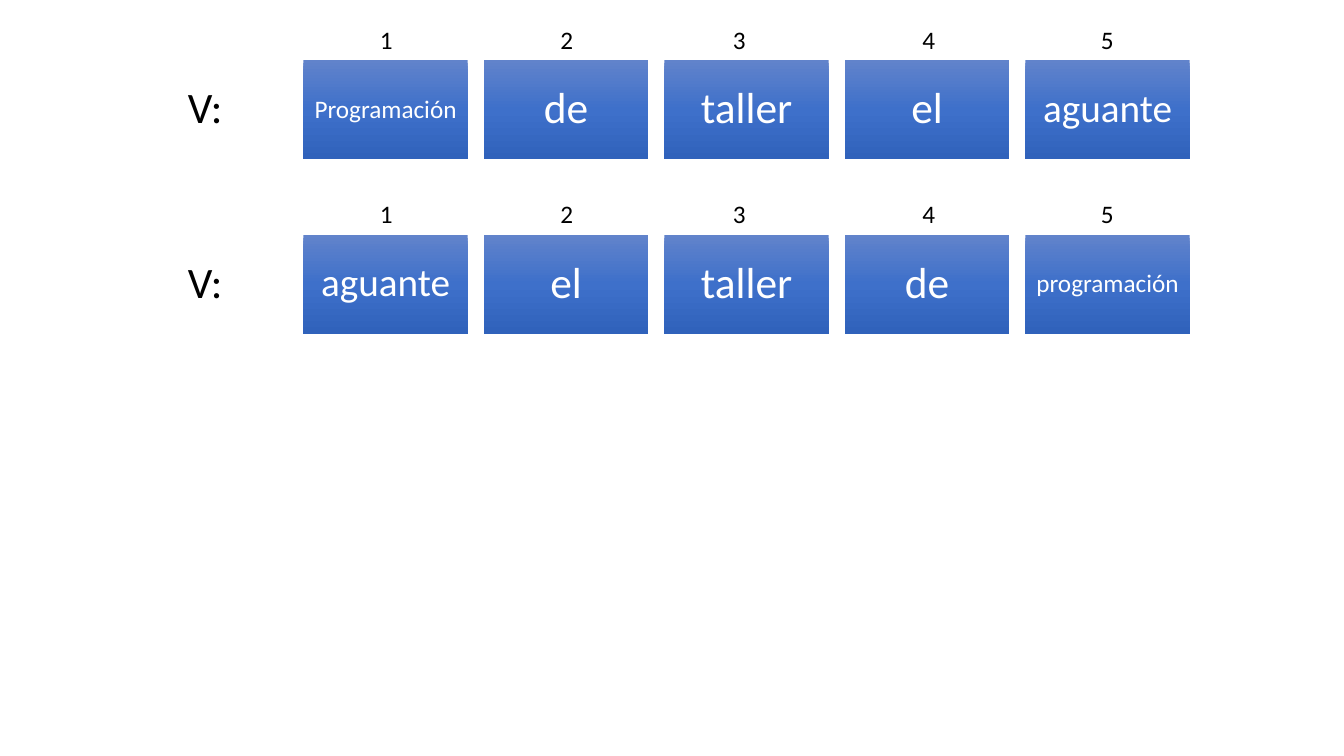
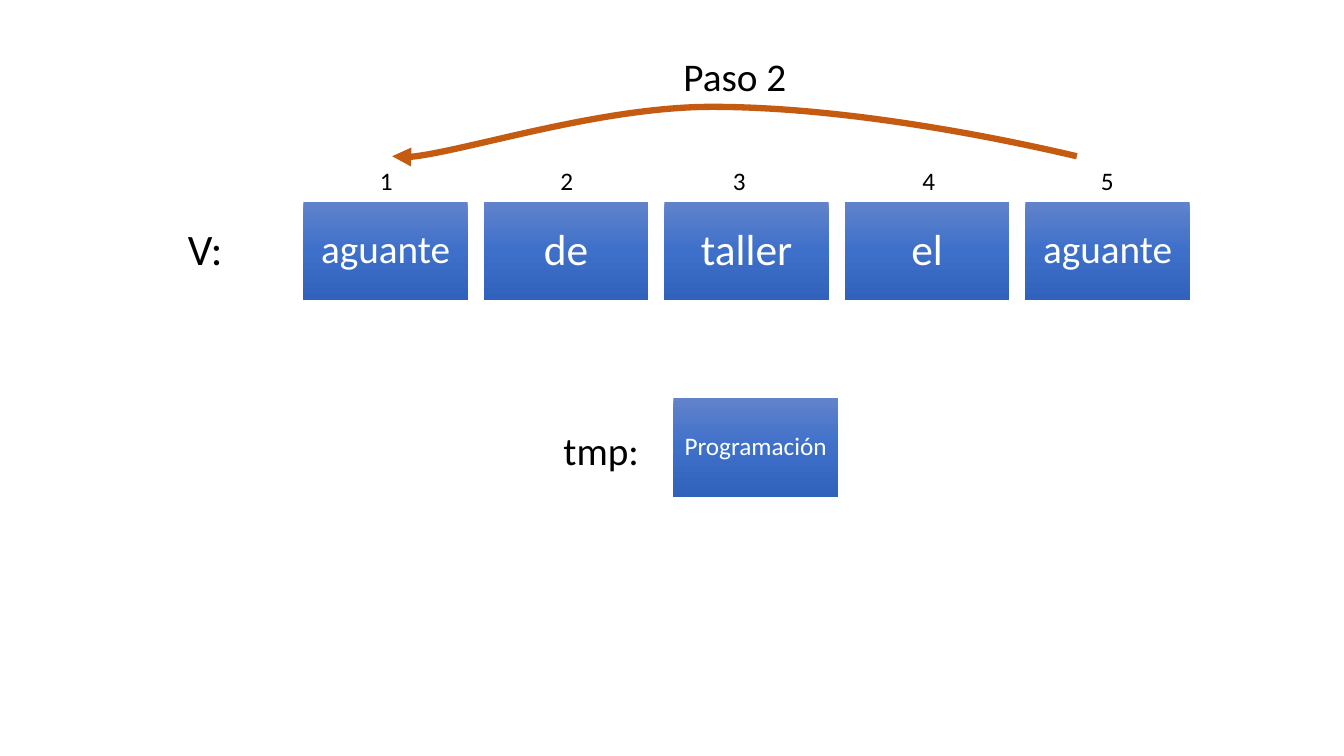
from copy import deepcopy

from lxml import etree
from pptx import Presentation
from pptx.dml.color import RGBColor
from pptx.enum.shapes import MSO_SHAPE
from pptx.enum.text import MSO_ANCHOR, PP_ALIGN
from pptx.oxml.ns import qn
from pptx.util import Pt

RECT = MSO_SHAPE.RECTANGLE
MIDDLE = MSO_ANCHOR.MIDDLE
CENTER = PP_ALIGN.CENTER

PX = 9144
FONT = "Calibri"
COLORS = {
    "top": "6183CB",
    "mid": "3E70CA",
    "low": "3062BB",
    "white": "FFFFFF",
    "black": "000000",
    "arrow": "C55A11",
}
WIDE, HIGH = 163, 98
FIRST, STEP = 301, 179
INDEX = [367, 546, 717, 905, 1082]
PADS = {31: 13, 28: 12, 18: 7}


def label(slide, text, x, y, w, h, size):
    box = slide.shapes.add_textbox(x * PX, y * PX, w * PX, h * PX)
    frame = box.text_frame
    frame.word_wrap = True
    frame.text = text
    font = frame.paragraphs[0].font
    font.name, font.size = FONT, Pt(size)
    font.color.rgb = RGBColor.from_string(COLORS["black"])


def cell(slide, text, x, y, filled=True):
    box = slide.shapes.add_shape(RECT, x * PX, y * PX, WIDE * PX, HIGH * PX)
    box.shadow.inherit = False
    box.line.fill.background()
    if filled:
        box.fill.gradient()
        box.fill.gradient_angle = 270
        stops = next(box._element.spPr.iter(qn("a:gsLst")))
        stops.insert(1, deepcopy(stops[0]))
        for stop, name, place in zip(box.fill.gradient_stops, ("top", "mid", "low"), (0, 0.5, 1)):
            stop.color.rgb = RGBColor.from_string(COLORS[name])
            stop.position = place
    else:
        box.fill.background()
    size = 31 if len(text) < 7 else 28 if len(text) == 7 else 18
    frame = box.text_frame
    frame.word_wrap = True
    frame.vertical_anchor = MIDDLE
    frame.margin_left = frame.margin_right = PADS[size] * PX
    frame.margin_top = frame.margin_bottom = PADS[size] * PX
    frame.text = text
    para = frame.paragraphs[0]
    para.alignment = CENTER
    para.line_spacing = 0.9
    para.font.name, para.font.size = FONT, Pt(size)
    para.font.color.rgb = RGBColor.from_string(COLORS["white" if filled else "black"])


deck = Presentation()
deck.slide_width, deck.slide_height = 1333 * PX, 750 * PX
blank = deck.slide_layouts[6]
order, swap = [deck.slides.add_slide(blank) for _ in range(2)]

ROWS = [
    (order, 60, ["Programación", "de", "taller", "el", "aguante"]),
    (order, 233, ["aguante", "el", "taller", "de", "programación"]),
    (swap, 200, ["aguante", "de", "taller", "el", "aguante"]),
]
for slide, top, words in ROWS:
    cell(slide, "V:", 122, top, filled=False)
    for i, word in enumerate(words):
        cell(slide, word, FIRST + i * STEP, top)
        label(slide, str(i + 1), INDEX[i], top - 41, 65, 40, 18)

cell(swap, "Programación", 668, 395)
label(swap, "tmp:", 549, 418, 96, 57, 28)
label(swap, "Paso 2", 668, 47, 145, 57, 28)

left, peak = 389, 106
pen = swap.shapes.build_freeform(1068, 155, scale=PX)
pen.add_line_segments([(706, peak), (left, 155)], close=False)
arrow = pen.convert_to_shape()
arrow.shadow.inherit = False
arrow.fill.background()
arrow.line.color.rgb = RGBColor.from_string(COLORS["arrow"])
arrow.line.width = Pt(4.5)
props = arrow._element.spPr
etree.SubElement(props.find(qn("a:ln")), qn("a:tailEnd"), type="triangle")
BENDS = [[(957, 129), (820, 106)], [(593, 106), (415, 165)]]
for curve, bend in zip(list(props.iter(qn("a:lnTo"))), BENDS):
    curve.tag = qn("a:cubicBezTo")
    for i, (x, y) in enumerate(bend):
        point = deepcopy(curve[-1])
        point.set("x", str(x - left))
        point.set("y", str(y - peak))
        curve.insert(i, point)

deck.save("out.pptx")
